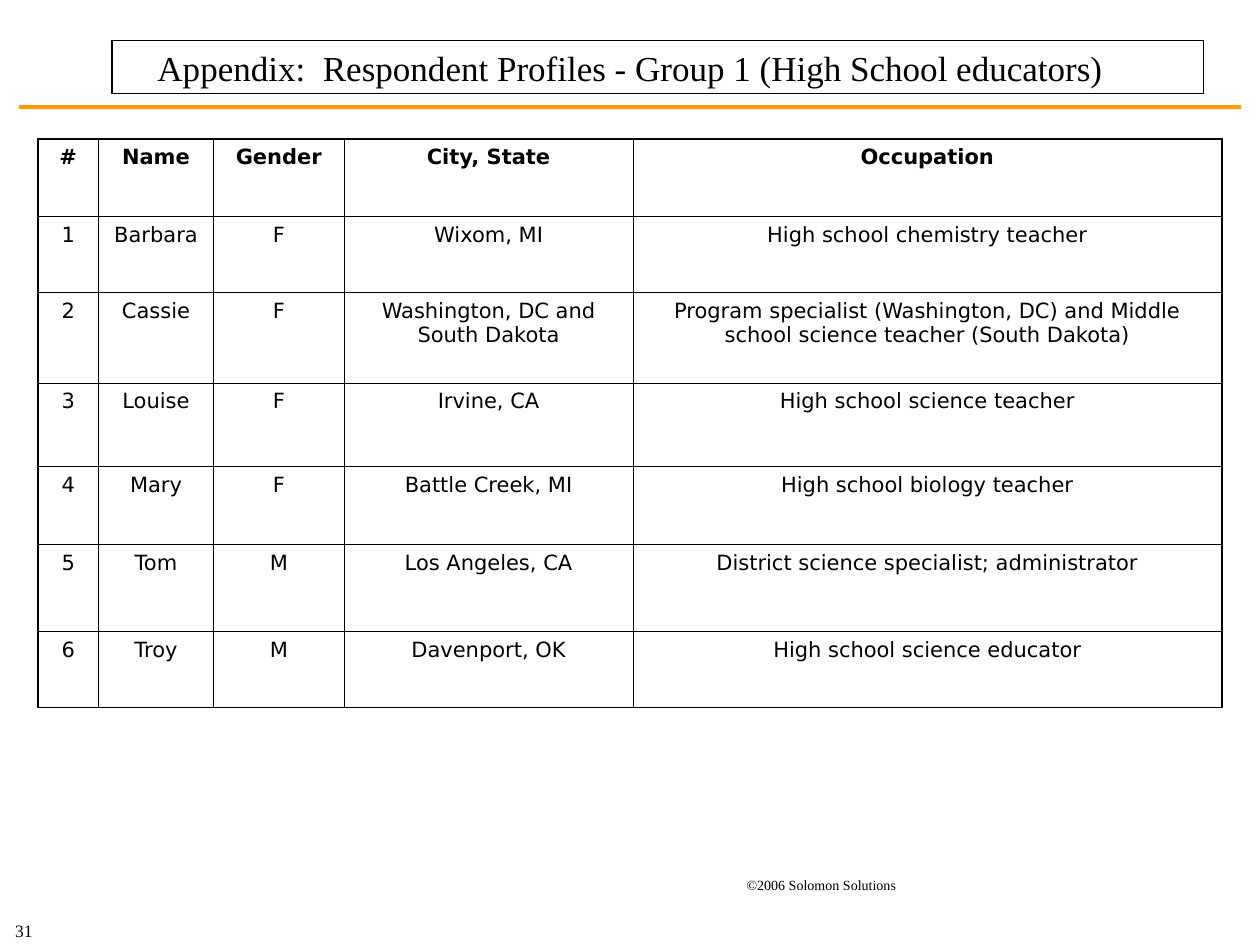
from lxml.etree import SubElement
from pptx import Presentation
from pptx.dml.color import RGBColor
from pptx.enum.shapes import MSO_SHAPE
from pptx.enum.text import MSO_ANCHOR, MSO_AUTO_SIZE, PP_ALIGN
from pptx.oxml.ns import qn
from pptx.util import Cm, Pt

TITLE = "Appendix:  Respondent Profiles - Group 1 (High School educators)"
COPYRIGHT = "©2006 Solomon Solutions"
PAGE_NUMBER = "31"
HEADERS = ("#", "Name", "Gender", "City, State", "Occupation")
RESPONDENTS = [
    ("Barbara", "F", "Wixom, MI", "High school chemistry teacher"),
    ("Cassie", "F", "Washington, DC and South Dakota",
     "Program specialist (Washington, DC) and Middle school science teacher (South Dakota)"),
    ("Louise", "F", "Irvine, CA", "High school science teacher"),
    ("Mary", "F", "Battle Creek, MI", "High school biology teacher"),
    ("Tom", "M", "Los Angeles, CA", "District science specialist; administrator"),
    ("Troy", "M", "Davenport, OK", "High school science educator"),
]
COLUMN_WIDTHS = (1.23, 2.31, 2.64, 5.82, 11.87)
ROW_HEIGHTS = (1.56, 1.53, 1.83, 1.69, 1.57, 1.75, 1.53)
SERIF, SANS = "Times New Roman", "DejaVu Sans"
BLACK, WHITE, ORANGE = "000000", "FFFFFF", "FF9900"
THIN, THICK = 0.45, 1.08


def color(value):
    return RGBColor.from_string(value)


def write(frame, text, size, font, align=PP_ALIGN.CENTER, bold=False):
    para = frame.paragraphs[0]
    para.alignment = align
    span = para.add_run()
    span.text = text
    span.font.size = Pt(size)
    span.font.name = font
    span.font.bold = bold
    span.font.color.rgb = color(BLACK)
    return para


def add_label(page, place, text, size, wrap):
    box = page.shapes.add_textbox(*map(Cm, place))
    frame = box.text_frame
    frame.word_wrap = wrap
    frame.auto_size = MSO_AUTO_SIZE.SHAPE_TO_FIT_TEXT
    frame.vertical_anchor = MSO_ANCHOR.MIDDLE
    write(frame, text, size, SERIF)


def set_borders(cell, widths):
    properties = cell._tc.get_or_add_tcPr()
    for side, width in zip(("L", "R", "T", "B"), widths):
        line = SubElement(properties, qn(f"a:ln{side}"), w=str(Pt(width)))
        fill = SubElement(line, qn("a:solidFill"))
        SubElement(fill, qn("a:srgbClr"), val=BLACK)


def add_title(page):
    title = page.shapes.title
    title.left, title.top, title.width, title.height = map(Cm, (2.26, 0.82, 22, 1.07))
    title.fill.solid()
    title.fill.fore_color.rgb = color(WHITE)
    title.line.color.rgb = color(BLACK)
    title.line.width = Pt(0.75)
    frame = title.text_frame
    frame.word_wrap = True
    frame.auto_size = MSO_AUTO_SIZE.NONE
    frame.vertical_anchor = MSO_ANCHOR.TOP
    para = write(frame, TITLE, 20, SERIF, PP_ALIGN.LEFT)
    para._p.get_or_add_pPr().set("marL", str(Cm(0.66)))


def add_rule(page):
    rule = page.shapes.add_shape(MSO_SHAPE.RECTANGLE, Cm(0.38), Cm(2.12), Cm(24.64), Cm(0.08))
    rule.shadow.inherit = False
    rule.fill.solid()
    rule.fill.fore_color.rgb = color(ORANGE)
    rule.line.fill.background()


def add_profiles(page):
    rows = [HEADERS] + [(str(n), *person) for n, person in enumerate(RESPONDENTS, 1)]
    last_row, last_column = len(rows) - 1, len(HEADERS) - 1
    table = page.shapes.add_table(
        len(rows), len(HEADERS), Cm(0.76), Cm(2.8),
        Cm(sum(COLUMN_WIDTHS)), Cm(sum(ROW_HEIGHTS))).table
    table.first_row = table.horz_banding = False
    for column, width in zip(table.columns, COLUMN_WIDTHS):
        column.width = Cm(width)
    for r, (values, height) in enumerate(zip(rows, ROW_HEIGHTS)):
        table.rows[r].height = Cm(height)
        for c, value in enumerate(values):
            cell = table.cell(r, c)
            outer = (c == 0, c == last_column, r == 0, r == last_row)
            set_borders(cell, [THICK if edge else THIN for edge in outer])
            cell.fill.background()
            write(cell.text_frame, value, 12, SANS, bold=r == 0)


def main():
    deck = Presentation()
    deck.slide_width, deck.slide_height = Cm(25.4), Cm(19.05)
    page = deck.slides.add_slide(deck.slide_layouts[5])
    add_label(page, (-0.51, 18.42, 1.98, 0.69), PAGE_NUMBER, 10, False)
    add_rule(page)
    add_label(page, (12.52, 17.53, 8.08, 0.61), COPYRIGHT, 8, True)
    add_title(page)
    add_profiles(page)
    deck.save("out.pptx")


if __name__ == "__main__":
    main()
